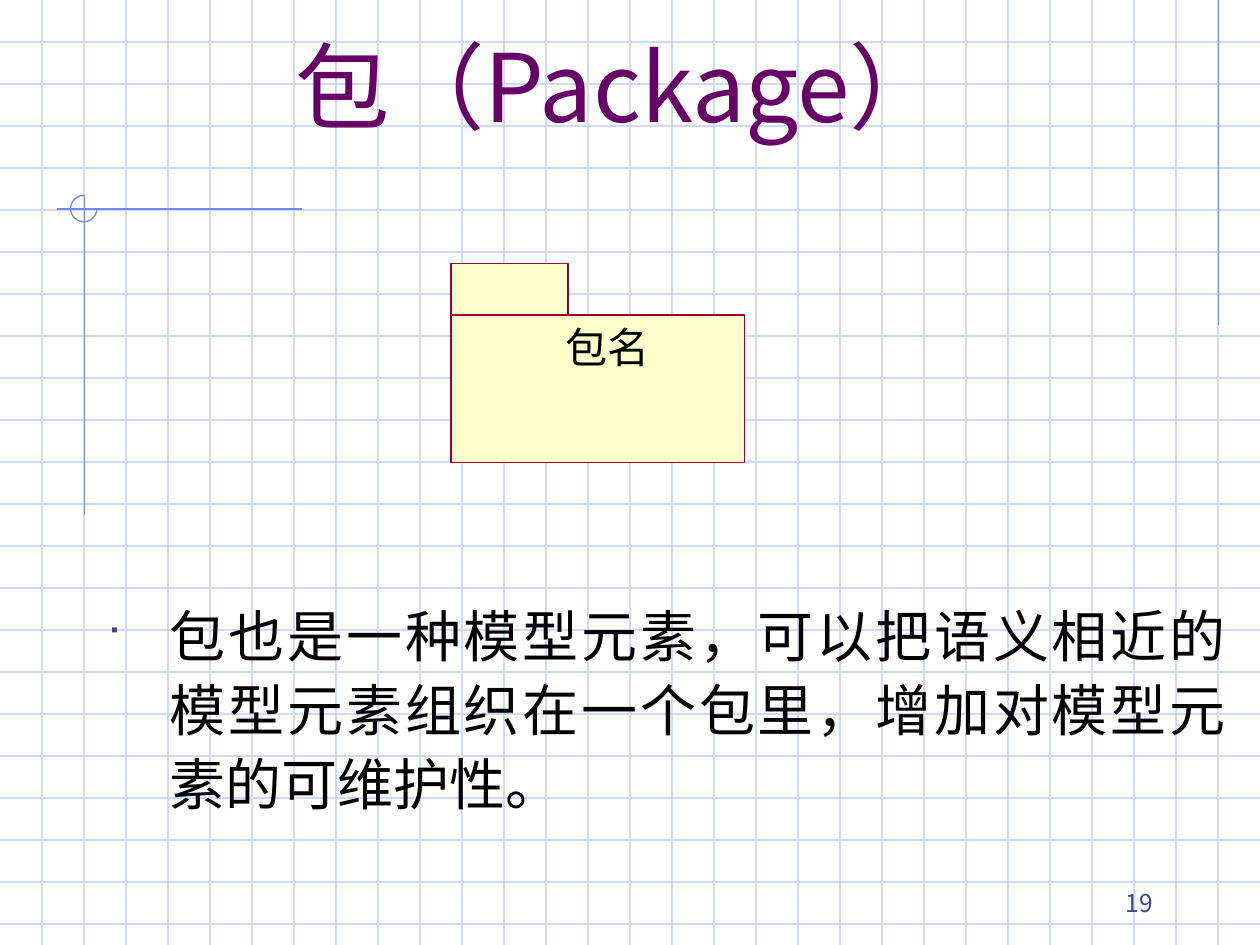
from lxml import etree
from pptx import Presentation
from pptx.dml.color import RGBColor
from pptx.enum import shapes, text
from pptx.oxml.ns import qn
from pptx.util import Inches, Pt

WHITE = RGBColor(0xFF, 0xFF, 0xFF)
GRID = RGBColor(0xCF, 0xDB, 0xFD)
ACCENT = RGBColor(0x6F, 0x89, 0xF7)
INDIGO = RGBColor(0x40, 0x45, 0x8C)
PURPLE = RGBColor(0x66, 0x00, 0x66)
BLACK = RGBColor(0x00, 0x00, 0x00)
CREAM = RGBColor(0xFF, 0xFF, 0xCC)
CRIMSON = RGBColor(0x99, 0x00, 0x33)
FONT = "Noto Sans CJK SC"
WIDTH, HEIGHT = 10, 7.5


def set_all(target, values):
    for name, value in values.items():
        setattr(target, name, value)


def add_line(slide, start, end, color):
    line = slide.shapes.add_connector(
        shapes.MSO_CONNECTOR.STRAIGHT, *map(Inches, (*start, *end)))
    line.line.color.rgb = color
    line.line.width = Pt(0.75)
    etree.SubElement(line._element.spPr, qn("a:effectLst"))


def add_grid(slide):
    for row in range(1, 23):
        add_line(slide, (0, row / 3), (WIDTH, row / 3), GRID)
    for column in range(1, 30):
        add_line(slide, (column / 3, 0), (column / 3, HEIGHT), GRID)


def add_outline(slide, kind, place, color, width):
    shape = slide.shapes.add_shape(kind, *map(Inches, place))
    shape.shadow.inherit = False
    shape.fill.background()
    shape.line.color.rgb = color
    shape.line.width = Pt(width)
    return shape


def add_accents(slide):
    add_line(slide, (9.67, 0), (9.67, 2.58), ACCENT)
    add_line(slide, (2.4, 1.66), (0.45, 1.66), ACCENT)
    add_line(slide, (0.67, 1.55), (0.67, 4.09), ACCENT)
    arc = add_outline(slide, shapes.MSO_SHAPE.ARC, (0.56, 1.55, 0.21, 0.21), ACCENT, 0.75)
    # Arc angles are in 60000ths of a degree, divided here by 100000.
    arc.adjustments[0] = 0
    arc.adjustments[1] = 270 * 0.6


def add_package(slide):
    for place in ((3.58, 2.5, 2.33, 1.17), (3.58, 2.09, 0.93, 0.41)):
        part = add_outline(slide, shapes.MSO_SHAPE.RECTANGLE, place, CRIMSON, 0)
        part.fill.solid()
        part.fill.fore_color.rgb = CREAM


def set_indent(para, left, first):
    props = para._p.get_or_add_pPr()
    props.set("marL", str(Inches(left)))
    props.set("indent", str(Inches(first)))
    return props


def add_bullet(para):
    props = set_indent(para, 1, -0.5)
    color = etree.SubElement(props, qn("a:buClr"))
    etree.SubElement(color, qn("a:srgbClr"), val=str(INDIGO))
    etree.SubElement(props, qn("a:buSzPct"), val="60000")
    etree.SubElement(props, qn("a:buFont"), typeface="Wingdings")
    etree.SubElement(props, qn("a:buChar"), char="■")


def write(box, wording, size, color, frame=None, layout=None):
    """Fill a box with one paragraph, using frame and paragraph format values."""
    set_all(box.text_frame, {"word_wrap": True, "auto_size": text.MSO_AUTO_SIZE.NONE,
                             **(frame or {})})
    para = box.text_frame.paragraphs[0]
    set_all(para, layout or {})
    span = para.add_run()
    span.text = wording
    set_all(span.font, {"name": FONT, "size": Pt(size)})
    span.font.color.rgb = color
    etree.SubElement(span._r.get_or_add_rPr(), qn("a:ea"), typeface=FONT)
    return para


def add_text(slide, place, *content):
    return write(slide.shapes.add_textbox(*map(Inches, place)), *content)


def place_title(slide):
    title = slide.shapes.title
    set_all(title, dict(zip(("left", "top", "width", "height"),
                            map(Inches, (0.67, 0.17, 8.5, 1)))))
    para = write(title, "包（Package）", 54, PURPLE,
                 {"vertical_anchor": text.MSO_ANCHOR.BOTTOM},
                 {"alignment": text.PP_ALIGN.CENTER})
    set_indent(para, 0.83, -0.83)
    slide.shapes._spTree.append(title._element)  # bring in front of the grid


def main():
    deck = Presentation()
    set_all(deck, {"slide_width": Inches(WIDTH), "slide_height": Inches(HEIGHT)})
    slide = deck.slides.add_slide(deck.slide_layouts[5])
    slide.background.fill.solid()
    slide.background.fill.fore_color.rgb = WHITE

    add_grid(slide)
    add_accents(slide)
    add_text(slide, (7.17, 6.83, 2.08, 0.5), "19", 14, INDIGO,
             {"vertical_anchor": text.MSO_ANCHOR.BOTTOM},
             {"alignment": text.PP_ALIGN.RIGHT})
    body = add_text(
        slide, (0.25, 4.67, 9.58, 1.92),
        "包也是一种模型元素，可以把语义相近的模型元素组织在一个包里，增加对模型元素的可维护性。",
        32, BLACK)
    add_bullet(body)
    set_all(body, {"alignment": text.PP_ALIGN.JUSTIFY, "line_spacing": 1.1})
    place_title(slide)
    add_package(slide)
    margins = dict.fromkeys(("margin_left", "margin_top", "margin_right", "margin_bottom"), 0)
    add_text(slide, (4.49, 2.55, 0.67, 0.4), "包名", 24, BLACK,
             {**margins, "word_wrap": False, "auto_size": text.MSO_AUTO_SIZE.SHAPE_TO_FIT_TEXT})
    deck.save("out.pptx")


if __name__ == "__main__":
    main()
